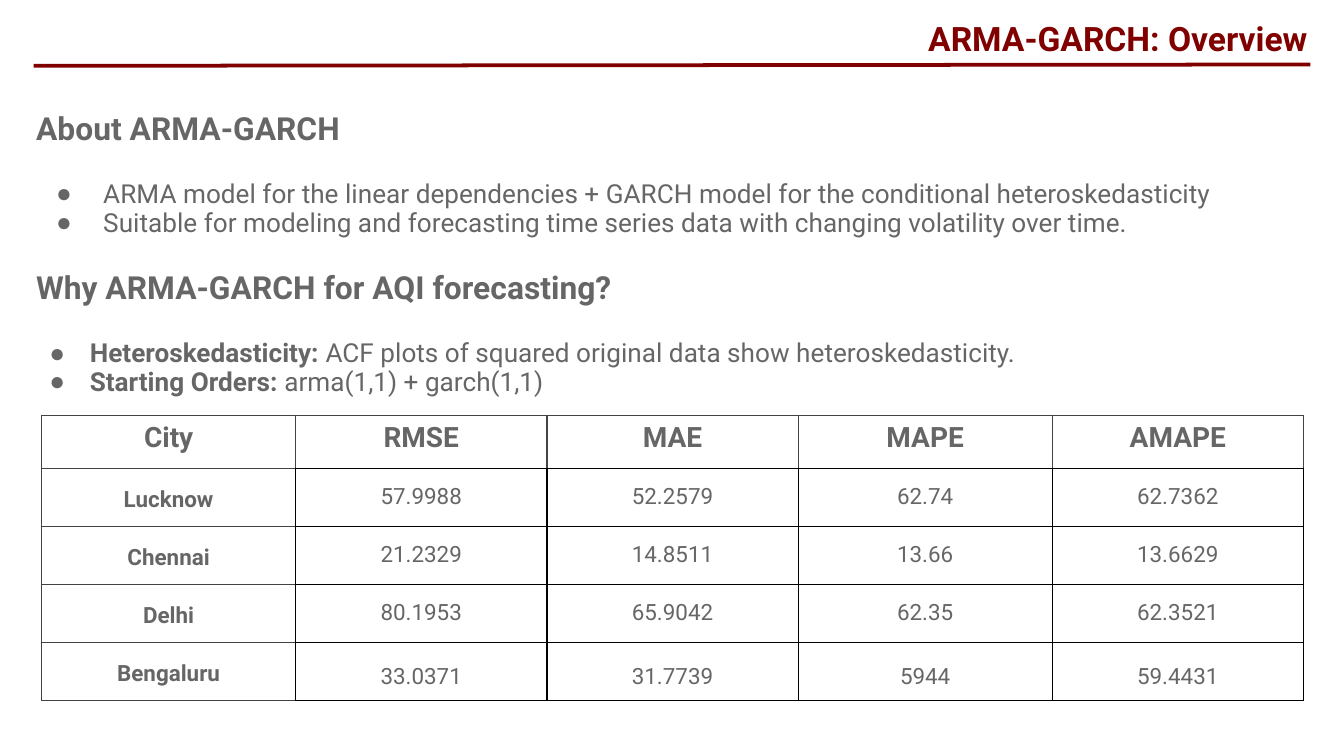
import pptx
import pptx.dml.color
import pptx.enum.shapes
import pptx.enum.text
import pptx.oxml
import pptx.oxml.ns
import pptx.util
from pptx.util import Inches

FONT, BULLET_FONT = "Roboto", "Arial"
MAROON, TEXT_GREY, BORDER_GREY, BLACK = "800000", "666666", "434343", "000000"
ALIGN = pptx.enum.text.PP_ALIGN
ANCHOR = pptx.enum.text.MSO_ANCHOR
NAMESPACE = pptx.oxml.ns.nsdecls("a")

BULLET_GROUPS = [
    ("About ARMA-GARCH", 0.5, 0.35, [
        [("ARMA model for the linear dependencies + GARCH model for the "
          "conditional heteroskedasticity", False)],
        [("Suitable for modeling and forecasting time series data with "
          "changing volatility over time.", False)],
    ]),
    ("Why ARMA-GARCH for AQI forecasting?", 0.4, 0.3, [
        [("Heteroskedasticity: ", True),
         ("ACF plots of squared original data show heteroskedasticity.", False)],
        [("Starting Orders:", True), (" arma(1,1) + garch(1,1)", False)],
    ]),
]
METRICS = [
    ["City", "RMSE", "MAE", "MAPE", "AMAPE"],
    ["Lucknow", "57.9988", "52.2579", "62.74", "62.7362"],
    ["Chennai", "21.2329", "14.8511", "13.66", "13.6629"],
    ["Delhi", "80.1953", "65.9042", "62.35", "62.3521"],
    ["Bengaluru", "33.0371", "31.7739", "5944", "59.4431"],
]
COLUMN_WIDTHS = [Inches(width) for width in (1.89, 1.87, 1.87, 1.89, 1.87)]
ROW_HEIGHTS = [pptx.util.Pt(height) for height in [28.3] + [31.1] * 4]


def color(hex_string):
    return pptx.dml.color.RGBColor.from_string(hex_string)


def add_run(paragraph, text, size, bold=False, fill=TEXT_GREY):
    run = paragraph.add_run()
    run.text = text
    run.font.name = FONT
    run.font.size = pptx.util.Pt(size)
    run.font.bold = bold
    run.font.color.rgb = color(fill)


def set_margins(target, left, top, right, bottom):
    """Set the inner margins of a text frame or table cell."""
    target.margin_left, target.margin_top = Inches(left), Inches(top)
    target.margin_right, target.margin_bottom = Inches(right), Inches(bottom)


def add_header(slide, left, top, width, height):
    title = slide.shapes.title
    title.left, title.top = Inches(left), Inches(top)
    title.width, title.height = Inches(width), Inches(height)
    frame = title.text_frame
    set_margins(frame, 0.1, 0.05, 0.1, 0.05)
    frame.auto_size = pptx.enum.text.MSO_AUTO_SIZE.NONE
    frame.vertical_anchor = ANCHOR.MIDDLE
    paragraph = frame.paragraphs[0]
    paragraph.alignment = ALIGN.RIGHT
    add_run(paragraph, "ARMA-GARCH: Overview", 18, True, MAROON)

    rule = slide.shapes.add_connector(
        pptx.enum.shapes.MSO_CONNECTOR.STRAIGHT,
        Inches(left + 0.08), Inches(top + height),
        Inches(left + width - 0.08), Inches(top + height - 0.01))
    rule.line.color.rgb = color(MAROON)
    rule.line.width = pptx.util.Pt(2)
    rule._element.spPr.append(pptx.oxml.parse_xml(f"<a:effectLst {NAMESPACE}/>"))


def make_bullet(paragraph, indent, hanging):
    properties = paragraph._p.get_or_add_pPr()
    properties.set("marL", str(Inches(indent)))
    properties.set("indent", str(-Inches(hanging)))
    for xml in (f'<a:buClr {NAMESPACE}><a:srgbClr val="{TEXT_GREY}"/></a:buClr>',
                f'<a:buFont {NAMESPACE} typeface="{BULLET_FONT}"/>',
                f'<a:buChar {NAMESPACE} char="●"/>'):
        properties.append(pptx.oxml.parse_xml(xml))


def add_bullet_groups(slide, left, top, width, height):
    box = slide.shapes.add_textbox(
        Inches(left), Inches(top), Inches(width), Inches(height))
    frame = box.text_frame
    frame.word_wrap = True
    set_margins(frame, 0.1, 0.05, 0.1, 0.05)
    gap = pptx.util.Pt(18.3)
    for group_index, (heading, indent, hanging, bullets) in enumerate(BULLET_GROUPS):
        paragraph = frame.add_paragraph() if group_index else frame.paragraphs[0]
        paragraph.line_spacing = 0.9
        paragraph.space_before = gap if group_index else 0
        paragraph.space_after = gap
        add_run(paragraph, heading, 17, True)
        for runs in bullets:
            paragraph = frame.add_paragraph()
            make_bullet(paragraph, indent, hanging)
            paragraph.line_spacing = 0.9
            for text, bold in runs:
                add_run(paragraph, text, 14, bold)


def set_borders(cell, colors):
    """Draw the left, right, top and bottom borders in the given colours."""
    properties = cell._tc.get_or_add_tcPr()
    for side, hex_string in zip("LRTB", colors):
        properties.append(pptx.oxml.parse_xml(
            f'<a:ln{side} {NAMESPACE} w="{pptx.util.Pt(0.75)}"><a:solidFill>'
            f'<a:srgbClr val="{hex_string}"/></a:solidFill></a:ln{side}>'))


def border_colors(row, column):
    if row == 0:
        return [BORDER_GREY] * 3 + [BLACK if column else BORDER_GREY]
    if column == 0:
        return [BORDER_GREY, BLACK, BORDER_GREY, BORDER_GREY]
    return [BLACK] * 4


def add_metrics_table(slide, left, top):
    table = slide.shapes.add_table(
        len(METRICS), len(COLUMN_WIDTHS), Inches(left), Inches(top),
        sum(COLUMN_WIDTHS), sum(ROW_HEIGHTS)).table
    table.horz_banding = False
    for column, width in zip(table.columns, COLUMN_WIDTHS):
        column.width = width
    for row, height in zip(table.rows, ROW_HEIGHTS):
        row.height = height
    last_row = len(METRICS) - 1
    for row_index, values in enumerate(METRICS):
        for column_index, value in enumerate(values):
            cell = table.cell(row_index, column_index)
            set_borders(cell, border_colors(row_index, column_index))
            cell.fill.background()
            is_label = row_index == 0 or column_index == 0
            cell.vertical_anchor = ANCHOR.BOTTOM if is_label else ANCHOR.MIDDLE
            if is_label:
                set_margins(cell, 0.01, 0.01, 0.01, 0.1)
            else:
                set_margins(cell, 0.06, 0.02, 0.06, 0.02)
            paragraph = cell.text_frame.paragraphs[0]
            paragraph.alignment = ALIGN.CENTER
            if row_index == last_row and not is_label:
                paragraph.line_spacing = 1.45
            add_run(paragraph, value, 12 if row_index else 15, is_label)


def main():
    presentation = pptx.Presentation()
    presentation.slide_width = Inches(10)
    presentation.slide_height = presentation.slide_width * 9 // 16
    slide = presentation.slides.add_slide(presentation.slide_layouts[5])
    add_header(slide, 0.17, 0.08, 9.66, 0.41)
    add_metrics_table(slide, 0.31, 3.09)
    add_bullet_groups(slide, 0.17, 0.79, 9.67, 2.34)
    presentation.save("out.pptx")


if __name__ == "__main__":
    main()
